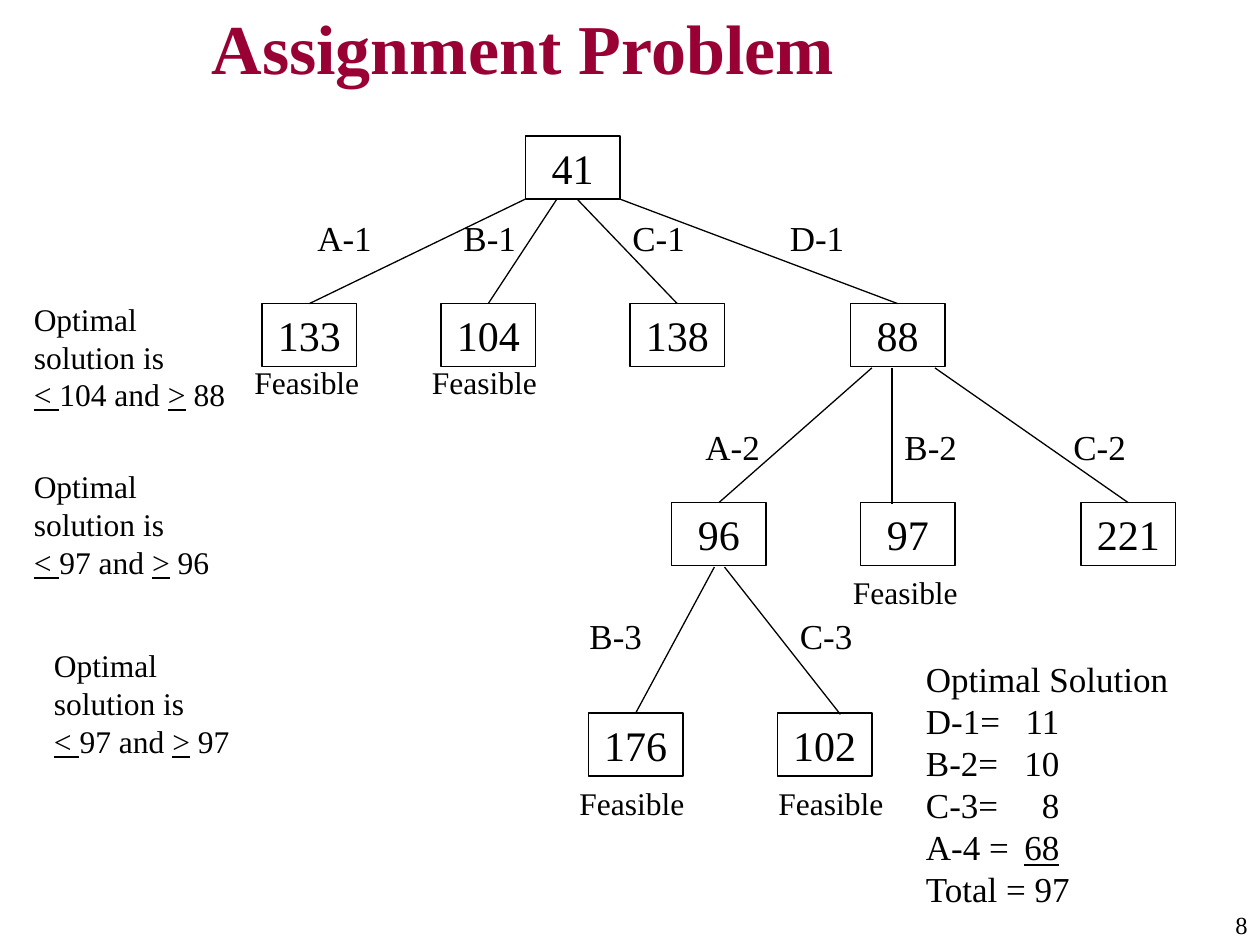
"""Build the branch-and-bound tree slide for the assignment problem."""
from copy import deepcopy

from lxml import etree
from pptx import Presentation, util as u
from pptx.dml.color import RGBColor
from pptx.enum import shapes, text
from pptx.oxml.ns import qn

Inches = u.Inches
THEME = {
    "face": "Times New Roman",
    "ink": RGBColor(0x00, 0x00, 0x00),
    "accent": RGBColor(0x99, 0x00, 0x33),
    "title": 40, "node": 24, "branch": 20, "note": 18, "number": 14,
    "line": u.Pt(0.75),
}
NODE_WIDTH, NODE_HEIGHT = 0.75, 0.5


def write(frame, pieces, role, align=text.PP_ALIGN.LEFT, color="ink", bold=False):
    frame.word_wrap = True
    paragraph = frame.paragraphs[0]
    paragraph.alignment = align
    paragraph.space_before = u.Pt(0)
    for wording, underlined in pieces:
        for index, line in enumerate(wording.split("\n")):
            if index:
                paragraph.add_line_break()
                paragraph._p[-1].append(deepcopy(run._r.rPr))
            if not line:
                continue
            run = paragraph.add_run()
            run.text = line
            formats = {"name": THEME["face"], "size": u.Pt(THEME[role]),
                       "bold": bold, "underline": underlined}
            for key, value in formats.items():
                setattr(run.font, key, value)
            run.font.color.rgb = THEME[color]
    return paragraph


def label(left, top, width, height, pieces, role, align=text.PP_ALIGN.LEFT):
    box = slide.shapes.add_textbox(*map(Inches, (left, top, width, height)))
    return write(box.text_frame, pieces, role, align)


prs = Presentation()
prs.slide_width, prs.slide_height = Inches(10), Inches(7.5)
slide = prs.slides.add_slide(prs.slide_layouts[5])

title = slide.shapes.title
placement = {"left": 1.58, "top": 0.08, "width": 8.42, "height": 0.58}
for side, length in placement.items():
    setattr(title, side, Inches(length))
title.text_frame.vertical_anchor = text.MSO_ANCHOR.MIDDLE
title.text_frame.auto_size = text.MSO_AUTO_SIZE.NONE
write(title.text_frame, [("Assignment Problem", False)], "title",
      color="accent", bold=True)

levels = [
    (1.08, [("41", 4.17)]),
    (2.41, [("133", 2.08), ("104", 3.5), ("138", 5), ("88", 6.75)]),
    (3.99, [("96", 5.33), ("97", 6.83), ("221", 8.58)]),
    (5.66, [("176", 4.67), ("102", 6.17)]),
]
nodes = {}
for top, row in levels:
    for cost, left in row:
        node = slide.shapes.add_shape(
            shapes.MSO_SHAPE.RECTANGLE,
            *map(Inches, (left, top, NODE_WIDTH, NODE_HEIGHT)))
        node.shadow.inherit = False
        node.fill.background()
        node.line.color.rgb = THEME["ink"]
        node.line.width = THEME["line"]
        node.text_frame.vertical_anchor = text.MSO_ANCHOR.TOP
        write(node.text_frame, [(cost, False)], "node", text.PP_ALIGN.CENTER)
        nodes[cost] = node

branches = [
    (1.58, 2.42, 1.67, [("A-1", 2.42, 4.17, 2.42, "133"),
                        ("B-1", 3.58, 4.42, 3.92, "104"),
                        ("C-1", 4.92, 4.58, 5.33, "138"),
                        ("D-1", 6.17, 4.92, 7.08, "88")]),
    (2.92, 4, 3.33, [("A-2", 5.5, 6.92, 5.67, "96"),
                     ("B-2", 7.08, 7.08, 7.08, "97"),
                     ("C-2", 8.42, 7.42, 9, "221")]),
    (4.5, 5.67, 4.83, [("B-3", 4.58, 5.67, 5.08, "176"),
                       ("C-3", 6.25, 5.75, 6.67, "102")]),
]
for start_y, end_y, label_top, row in branches:
    for choice, label_left, start_x, end_x, cost in row:
        branch = slide.shapes.add_connector(
            shapes.MSO_CONNECTOR.STRAIGHT,
            *map(Inches, (start_x, start_y, end_x, end_y)))
        branch.line.color.rgb = THEME["ink"]
        branch.line.width = THEME["line"]
        etree.SubElement(branch._element.spPr, qn("a:effectLst"))
        child = nodes[cost]
        if abs(child.left + child.width / 2 - Inches(end_x)) < Inches(0.05):
            branch.end_connect(child, 0)
        label(label_left, label_top, 0.83, 0.44, [(choice, False)], "branch")

for left, top in [(1.92, 2.83), (3.33, 2.83), (6.67, 4.5), (4.5, 6.17), (6.08, 6.17)]:
    label(left, top, 1.25, 0.4, [("Feasible", False)], "note")

bounds = [(0.17, 2.33, "104", "88"), (0.17, 3.66, "97", "96"), (0.33, 5.08, "97", "97")]
for left, top, upper, lower in bounds:
    label(left, top, 1.83, 1,
          [("Optimal solution is\n", False), ("< ", True), (f"{upper} and ", False),
           (">", True), (f" {lower}", False)], "note")

solution = label(
    7.25, 5.17, 2.25, 2.1,
    [("Optimal Solution\nD-1=\t11\nB-2=\t10\nC-3=\t8\nA-4 =\t", False),
     ("68", True), ("\nTotal = 97", False)], "branch")
tabs = etree.SubElement(solution._p.get_or_add_pPr(), qn("a:tabLst"))
etree.SubElement(tabs, qn("a:tab"), pos=str(Inches(1.06)), algn="r")

label(8.58, 7.17, 1.42, 0.33, [("8", False)], "number", text.PP_ALIGN.RIGHT)

prs.save("out.pptx")
